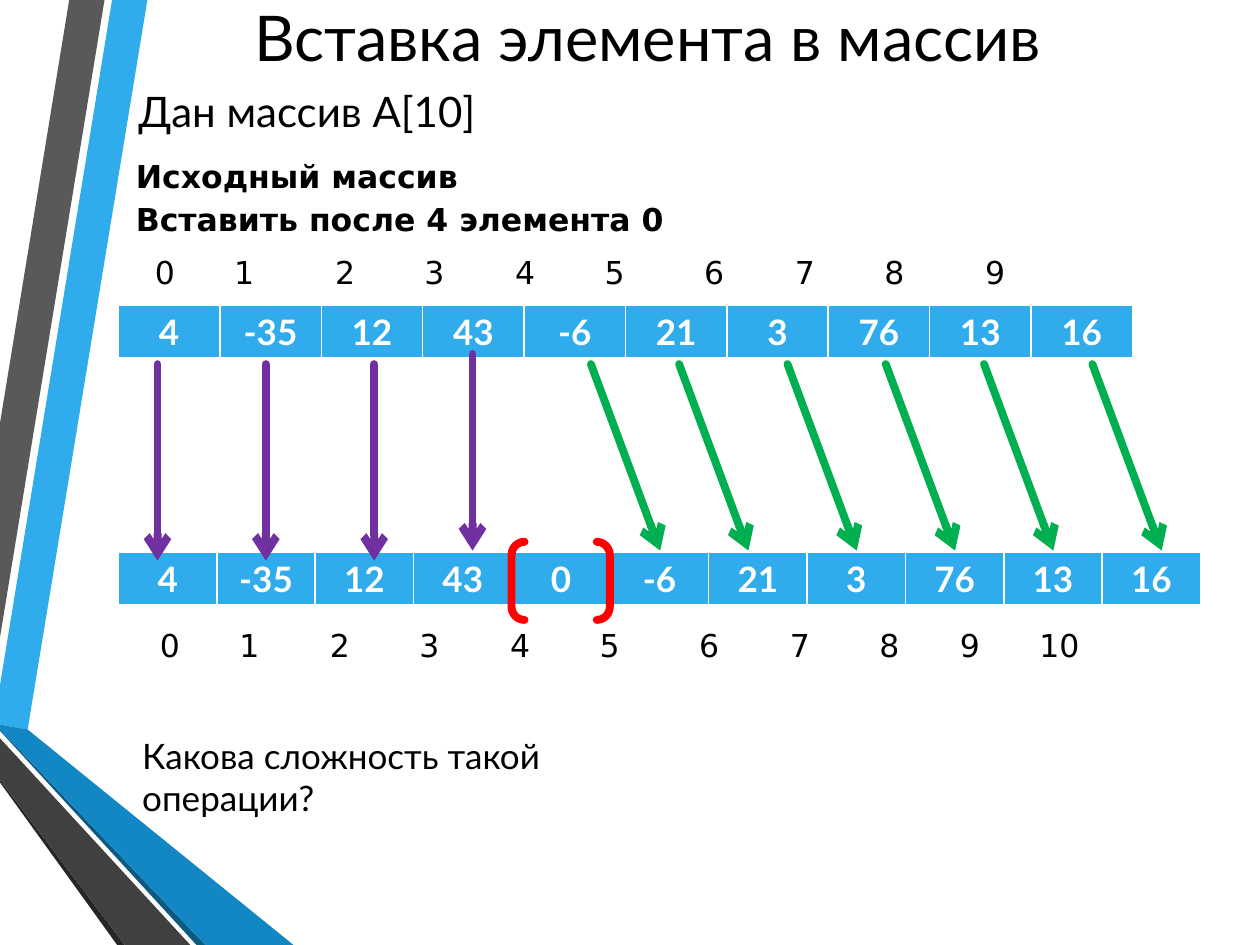
import pptx
import pptx.dml.color
import pptx.enum.shapes
import pptx.enum.text
import pptx.oxml.ns
import pptx.util
from lxml import etree

RGB = pptx.dml.color.RGBColor
BLACK = RGB(0x00, 0x00, 0x00)
WHITE = RGB(0xFF, 0xFF, 0xFF)
BLUE = RGB(0x30, 0xAC, 0xEC)
MID_BLUE = RGB(0x12, 0x87, 0xC3)
DEEP_BLUE = RGB(0x0C, 0x5A, 0x82)
GREY = RGB(0x59, 0x59, 0x59)
DARK_GREY = RGB(0x40, 0x40, 0x40)
CHARCOAL = RGB(0x26, 0x26, 0x26)
PURPLE = RGB(0x70, 0x30, 0xA0)
GREEN = RGB(0x00, 0xB0, 0x50)
RED = RGB(0xFF, 0x00, 0x00)

COLUMNS, ROWS = 100, 75
LATO, DEJAVU = "Lato", "DejaVu Sans"
LEFT = pptx.enum.text.PP_ALIGN.LEFT
CENTER = pptx.enum.text.PP_ALIGN.CENTER
TOP = pptx.enum.text.MSO_ANCHOR.TOP
MIDDLE = pptx.enum.text.MSO_ANCHOR.MIDDLE


def add_xml(parent, tag, **attributes):
    """Append a DrawingML element and return it."""
    return etree.SubElement(parent, pptx.oxml.ns.qn("a:" + tag), attributes)


class Board:
    """Draws styled elements on a slide, measured in grid units."""

    def __init__(self, prs):
        """Add a blank slide and work out the grid unit."""
        self.slide = prs.slides.add_slide(prs.slide_layouts[6])
        self.shapes = self.slide.shapes
        self.unit_x = prs.slide_width / COLUMNS
        self.unit_y = prs.slide_height / ROWS

    def x(self, column):
        """Turn columns into a length."""
        return pptx.util.Emu(round(column * self.unit_x))

    def y(self, row):
        """Turn rows into a length."""
        return pptx.util.Emu(round(row * self.unit_y))

    def box(self, left, top, width, height):
        """Turn a grid rectangle into lengths."""
        return self.x(left), self.y(top), self.x(width), self.y(height)

    def polygon(self, points, color):
        """Draw a filled outline."""
        corners = [(self.x(cx), self.y(cy)) for cx, cy in points]
        builder = self.shapes.build_freeform(*corners[0])
        builder.add_line_segments(corners[1:], close=True)
        sp = builder.convert_to_shape()
        sp.shadow.inherit = False
        sp.fill.solid()
        sp.fill.fore_color.rgb = color
        sp.line.fill.background()

    def style(self, p, size, font, color=BLACK, bold=False, align=LEFT):
        """Set the font and alignment of a paragraph."""
        p.alignment = align
        p.font.size = pptx.util.Pt(size)
        p.font.name = font
        p.font.bold = bold
        p.font.color.rgb = color

    def text(self, rect, words, size, font, anchor=TOP, **style):
        """Add a wrapped text box and return its paragraph."""
        tf = self.shapes.add_textbox(*self.box(*rect)).text_frame
        tf.word_wrap = True
        tf.vertical_anchor = anchor
        p = tf.paragraphs[0]
        p.text = words
        self.style(p, size, font, **style)
        return p

    def indexes(self, rect, centers):
        """Number the given centres from 0 with centred tab stops."""
        words = "".join(f"\t{i}" for i in range(len(centers)))
        p = self.text(rect, words, 18, DEJAVU)
        pPr = p.font._element.getparent()
        tabs = etree.Element(pptx.oxml.ns.qn("a:tabLst"))
        inset = pptx.util.Inches(0.1)
        for center in centers:
            stop = self.x(center - rect[0]) - inset
            add_xml(tabs, "tab", pos=str(stop), algn="ctr")
        pPr.insert(0, tabs)

    def array(self, left, top, width, height, values):
        """Add a one-row table with equal cells."""
        table = self.shapes.add_table(
            1, len(values), *self.box(left, top, width, height)).table
        table.first_row = table.horz_banding = False
        for i, value in enumerate(values):
            table.columns[i].width = self.x(width / len(values))
            cell = table.cell(0, i)
            p = cell.text_frame.paragraphs[0]
            p.text = str(value)
            self.style(p, 20, LATO, WHITE, True, CENTER)
            self.borders(cell)
            cell.fill.solid()
            cell.fill.fore_color.rgb = BLUE

    def borders(self, cell):
        """Give a cell white borders with a thicker bottom."""
        tcPr = cell._tc.get_or_add_tcPr()
        for side, points in (("L", 1), ("R", 1), ("T", 1), ("B", 3)):
            ln = add_xml(tcPr, "ln" + side, w=str(pptx.util.Pt(points)))
            add_xml(add_xml(ln, "solidFill"), "srgbClr", val=str(WHITE))

    def stroke(self, line, color):
        """Set a thick line with round caps and return its element."""
        line.color.rgb = color
        line.width = pptx.util.Pt(4.5)
        ln = line._get_or_add_ln()
        ln.set("cap", "rnd")
        return ln

    def arrow(self, start, end, color):
        """Draw an arrow from start to end."""
        cxn = self.shapes.add_connector(
            pptx.enum.shapes.MSO_CONNECTOR.STRAIGHT,
            self.x(start[0]), self.y(start[1]), self.x(end[0]), self.y(end[1]))
        add_xml(self.stroke(cxn.line, color), "tailEnd", type="arrow")
        add_xml(cxn._element.spPr, "effectLst")

    def brackets(self, rect, color):
        """Draw a pair of round brackets."""
        sp = self.shapes.add_shape(
            pptx.enum.shapes.MSO_SHAPE.DOUBLE_BRACKET, *self.box(*rect))
        sp.shadow.inherit = False
        sp.fill.background()
        self.stroke(sp.line, color)


def main():
    """Build the slide and save it."""
    prs = pptx.Presentation()
    prs.slide_width = pptx.util.Inches(10)
    prs.slide_height = pptx.util.Inches(7.5)
    board = Board(prs)

    ribbons = [
        (BLUE, [(0, 54.4), (0, 57.5), (2.2, 57.9), (11.7, 0), (8.9, 0)]),
        (GREY, [(8.3, 0), (5.5, 0), (0, 33.6), (0, 50.6)]),
        (CHARCOAL, [(0, 61.9), (0, 62.1), (9.3, 75), (9.9, 75)]),
        (DEEP_BLUE, [(0, 57.9), (0, 58), (15.6, 75), (16.3, 75)]),
        (MID_BLUE, [(0, 57.9), (16.3, 75), (23.3, 75), (2.2, 57.9), (0, 57.5)]),
        (DARK_GREY, [(0, 61.9), (9.9, 75), (15.1, 75), (0, 58.6)]),
    ]
    for color, points in ribbons:
        board.polygon(points, color)

    board.text((10.7, 0, 81.4, 5.8), "Вставка элемента в массив", 36, LATO,
               MIDDLE, align=CENTER)
    board.text((10, 6, 89.5, 5.5), "Дан массив А[10]", 24, LATO, MIDDLE)
    board.text((9.8, 12, 68, 4), "Исходный массив", 18, DEJAVU, bold=True)
    board.text((9.8, 15.4, 79.7, 4), "Вставить после 4 элемента 0", 18, DEJAVU,
               bold=True)

    source = [4, -35, 12, 43, -6, 21, 3, 76, 13, 16]
    position, inserted = 4, 0
    result = source[:position] + [inserted] + source[position:]
    board.indexes((8.2, 19.6, 81.2, 4), [
        13.1, 19.4, 27.4, 34.5, 41.7, 48.8, 56.7, 63.9, 71, 79])
    board.array(9.4, 24.2, 80.5, 4.3, source)
    board.array(9.4, 43.8, 85.9, 4.3, result)
    board.indexes((9.4, 49.2, 86.7, 4), [
        13.5, 19.8, 27, 34.1, 41.3, 48.4, 56.3, 63.5, 70.6, 77, 84.1])
    board.brackets((40.6, 43, 7.8, 6.2), RED)

    for column, row in ((12.5, 28.9), (21.1, 28.9), (29.7, 28.9), (37.5, 28.1)):
        board.arrow((column, row), (column, row + 15.6), PURPLE)
    for column in (46.9, 53.9, 62.5, 70.3, 78.1, 86.7):
        board.arrow((column, 28.9), (column + 5.5, 43.7), GREEN)

    board.text((10.3, 57.8, 45.1, 4.4), "Какова сложность такой операции?", 20,
               LATO)
    prs.save("out.pptx")


main()
